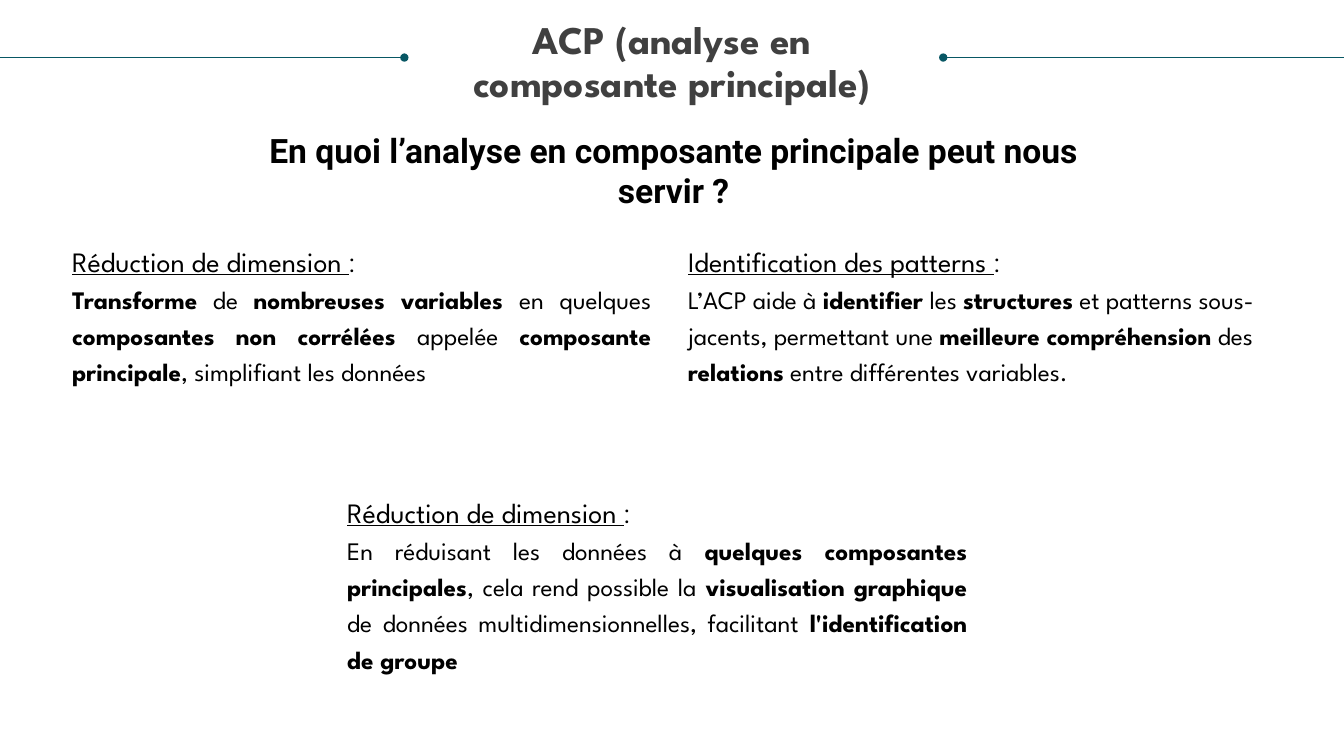
from lxml.etree import SubElement
from pptx import Presentation
from pptx.dml.color import RGBColor
from pptx.enum.shapes import MSO_CONNECTOR
from pptx.enum.text import MSO_ANCHOR, MSO_AUTO_SIZE, PP_ALIGN
from pptx.oxml.ns import qn
from pptx.util import Cm, Pt

COLOURS = {"title": "404040", "text": "000000", "rule": "085764"}
HEADING_FONT = "League Spartan"
BODY_FONT = "Roboto"
PAGE_WIDTH, PAGE_HEIGHT = 33.87, 19.05
RULE_Y = 1.45

# Asterisks enclose the bold words of each body.
BENEFITS = [
    ("Réduction de dimension ",
     "*Transforme* de *nombreuses variables *en quelques *composantes non corrélées *"
     "appelée *composante principale*, simplifiant les données",
     (1.57, 5.87, 15.09, 3.96), PP_ALIGN.JUSTIFY, PP_ALIGN.JUSTIFY),
    ("Identification des patterns ",
     "L’ACP aide à *identifier* les *structures* et patterns sous-jacents, permettant une "
     "*meilleure compréhension* des *relations* entre différentes variables.",
     (17.09, 5.87, 15.09, 4.88), PP_ALIGN.LEFT, PP_ALIGN.LEFT),
    ("Réduction de dimension ",
     "En réduisant les données à *quelques composantes principales*, cela rend possible la "
     "*visualisation graphique *de données multidimensionnelles, facilitant "
     "*l'identification de groupe*",
     (8.5, 12.19, 16.13, 4.88), PP_ALIGN.LEFT, PP_ALIGN.JUSTIFY),
]


class SlideBuilder:
    def __init__(self, page):
        self.page = page

    def style(self, span, size, font=HEADING_FONT, colour="text", bold=False, underline=False):
        span.font.size = Pt(size)
        span.font.name = font
        span.font.color.rgb = RGBColor.from_string(COLOURS[colour])
        span.font.bold = bold
        span.font.underline = underline

    def add_span(self, para, text, size, **look):
        span = para.add_run()
        span.text = text
        self.style(span, size, **look)

    def set_title(self, text, left, top, width, height):
        title = self.page.shapes.title
        title.left, title.top, title.width, title.height = map(Cm, (left, top, width, height))
        frame = title.text_frame
        frame.margin_left = frame.margin_right = frame.margin_top = frame.margin_bottom = 0
        frame.vertical_anchor = MSO_ANCHOR.TOP
        frame.auto_size = MSO_AUTO_SIZE.NONE
        frame.text = text
        para = frame.paragraphs[0]
        para.alignment = PP_ALIGN.CENTER
        para.line_spacing = 0.9
        for span in para.runs:
            self.style(span, 28, colour="title", bold=True)

    def add_frame(self, left, top, width, height):
        box = self.page.shapes.add_textbox(*map(Cm, (left, top, width, height)))
        box.text_frame.word_wrap = True
        return box.text_frame

    def add_question(self, text, *place):
        para = self.add_frame(*place).paragraphs[0]
        para.text = text
        para.alignment = PP_ALIGN.CENTER
        self.style(para.runs[0], 24, font=BODY_FONT, bold=True)

    def add_benefit(self, heading, body, place, heading_align, body_align):
        frame = self.add_frame(*place)
        head_para, body_para = frame.paragraphs[0], frame.add_paragraph()
        head_para.alignment, body_para.alignment = heading_align, body_align
        head_para.line_spacing = body_para.line_spacing = 1.2
        self.add_span(head_para, heading, 20, underline=True)
        self.add_span(head_para, ":", 18, font=BODY_FONT)
        for index, text in enumerate(body.split("*")):
            if text:
                self.add_span(body_para, text, 18, bold=index % 2 == 1)

    def add_rule(self, start, end):
        """Draw a horizontal rule with a dot at its end point."""
        rule = self.page.shapes.add_connector(
            MSO_CONNECTOR.STRAIGHT, Cm(start), Cm(RULE_Y), Cm(end), Cm(RULE_Y))
        rule.line.color.rgb = RGBColor.from_string(COLOURS["rule"])
        rule.line.width = Pt(0.5)
        properties = rule._element.spPr
        SubElement(properties.find(qn("a:ln")), qn("a:tailEnd"), type="oval")
        SubElement(properties, qn("a:effectLst"))


def main():
    deck = Presentation()
    deck.slide_width, deck.slide_height = Cm(PAGE_WIDTH), Cm(PAGE_HEIGHT)
    builder = SlideBuilder(deck.slides.add_slide(deck.slide_layouts[5]))
    builder.set_title("ACP (analyse en\vcomposante principale)", 0.64, 0.53, 32.59, 2.16)
    builder.add_rule(0, 10.19)
    builder.add_rule(PAGE_WIDTH, 23.77)
    builder.add_question("En quoi l’analyse en composante principale peut nous servir ?",
                         5.66, 3.15, 22.63, 1.27)
    for benefit in BENEFITS:
        builder.add_benefit(*benefit)
    deck.save("out.pptx")


if __name__ == "__main__":
    main()
